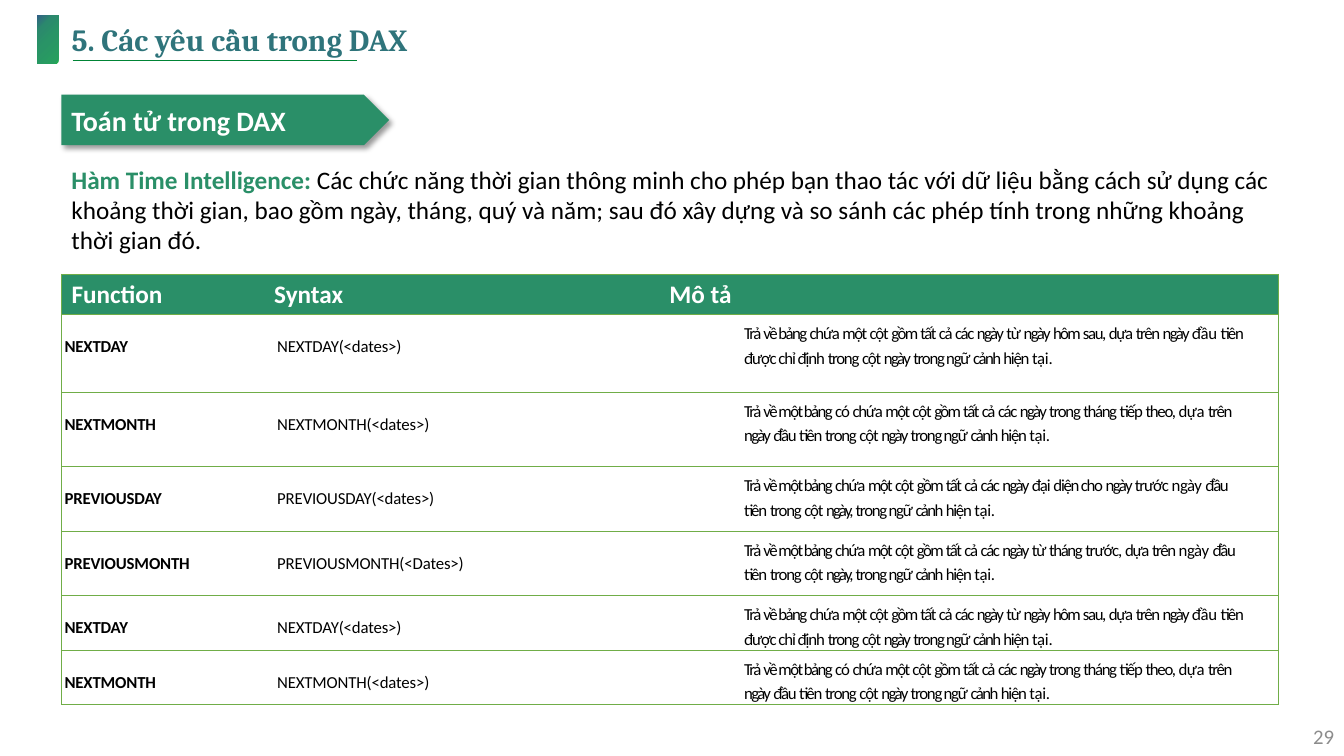
from dataclasses import dataclass
from itertools import groupby

from lxml.etree import SubElement
from pptx import Presentation
from pptx.dml.color import RGBColor
from pptx.enum.shapes import MSO_CONNECTOR, MSO_SHAPE
from pptx.enum.text import MSO_ANCHOR, MSO_AUTO_SIZE, PP_ALIGN
from pptx.oxml.ns import qn
from pptx.util import Emu, Pt

EMU_PER_PX = 9144
GREEN = "2A8F68"
BORDER = "70AD47"
BLACK = "000000"
WHITE = "FFFFFF"
TITLE_STOPS = [(0, "325E89"), (12, "2F747B"), (50, "299466"), (82, "279E5F"), (100, "23B350")]
MARKER_STOPS = [(0, "325E89"), (11, "2F747B"), (23, "2B896D"), (53, "299466"),
                (92, "279E5F"), (99, "23B350")]

WORDS_BY_SPACING = {
    -1.3: "ngày,",
    -1.2: "Trả gồm hôm",
    -1.1: "về bảng một ngày cảnh",
    -1.0: "tất các sau, tháng đầu trên",
    -0.9: "chứa cả dựa trong ngữ hiện theo, diện cho",
    -0.8: "cột từ tiên được chỉ định có tiếp đại trước trước,",
    -0.2: "tại.",
}
WORD_SPACING = {word: spacing for spacing, words in WORDS_BY_SPACING.items() for word in words.split()}
LINE_END_SPACING = -0.3


@dataclass(frozen=True)
class FunctionRow:
    name: str
    argument: str
    first_line: str
    second_line: str
    height: int


NEXT_DAY = ("Trả về bảng chứa một cột gồm tất cả các ngày từ ngày hôm sau, dựa trên ngày đầu",
            "tiên được chỉ định trong cột ngày trong ngữ cảnh hiện tại.")
NEXT_MONTH = ("Trả về một bảng có chứa một cột gồm tất cả các ngày trong tháng tiếp theo, dựa",
              "trên ngày đầu tiên trong cột ngày trong ngữ cảnh hiện tại.")
PREVIOUS_END = "đầu tiên trong cột ngày, trong ngữ cảnh hiện tại."
HEADERS = ["Function", "Syntax", "Mô tả"]
HEADER_HEIGHT = 40
COLUMN_WIDTHS = [201, 392, 614]
COLUMN_INDENTS = [3, 13, 84]
ROWS = [
    FunctionRow("NEXTDAY", "<dates>", *NEXT_DAY, 77),
    FunctionRow("NEXTMONTH", "<dates>", *NEXT_MONTH, 74),
    FunctionRow("PREVIOUSDAY", "<dates>",
                "Trả về một bảng chứa một cột gồm tất cả các ngày đại diện cho ngày trước ngày",
                PREVIOUS_END, 64),
    FunctionRow("PREVIOUSMONTH", "<Dates>",
                "Trả về một bảng chứa một cột gồm tất cả các ngày từ tháng trước, dựa trên ngày",
                PREVIOUS_END, 64),
    FunctionRow("NEXTDAY", "<dates>", *NEXT_DAY, 54),
    FunctionRow("NEXTMONTH", "<dates>", *NEXT_MONTH, 54),
]


def px(value: int) -> Emu:
    return Emu(value * EMU_PER_PX)


def box(left: int, top: int, width: int, height: int) -> list[Emu]:
    return [px(value) for value in (left, top, width, height)]


def rgb(value: str) -> RGBColor:
    return RGBColor.from_string(value)


def format_run(run, size: float, color: str, bold: bool = False, spacing: float = 0) -> None:
    run.font.name = "Calibri"
    run.font.size = Pt(size)
    run.font.bold = bold
    run.font.color.rgb = rgb(color)
    if spacing:
        run.font._element.set("spc", str(round(spacing * 100)))


def add_run(paragraph, text: str, size: float, color: str, bold: bool = False, spacing: float = 0) -> None:
    run = paragraph.add_run()
    run.text = text
    format_run(run, size, color, bold, spacing)


def fill_gradient(fill, properties, stops: list[tuple[int, str]], radial: bool) -> None:
    fill.gradient()
    gradient = properties.find(qn("a:gradFill"))
    for child in list(gradient):
        gradient.remove(child)
    stop_list = SubElement(gradient, qn("a:gsLst"))
    for position, color in stops:
        stop = SubElement(stop_list, qn("a:gs"), pos=str(position * 1000))
        SubElement(stop, qn("a:srgbClr"), val=color)
    if radial:
        circle = SubElement(gradient, qn("a:path"))
        circle.set("path", "circle")
        SubElement(circle, qn("a:fillToRect"), r="100000", b="100000")
    else:
        SubElement(gradient, qn("a:lin"), ang="0", scaled="0")


def set_borders(cell, visible: dict[str, bool]) -> None:
    properties = cell._tc.get_or_add_tcPr()
    for side, shown in visible.items():
        line = SubElement(properties, qn(f"a:ln{side}"), w=str(Pt(0.5)))
        if shown:
            SubElement(SubElement(line, qn("a:solidFill")), qn("a:srgbClr"), val=BORDER)
        else:
            SubElement(line, qn("a:noFill"))


def add_heading(slide) -> None:
    underline = slide.shapes.add_connector(MSO_CONNECTOR.STRAIGHT, px(72), px(60), px(354), px(60))
    underline.line.color.rgb = rgb("008435")
    underline.line.width = Pt(1)
    SubElement(underline._element.spPr, qn("a:effectLst"))

    marker = slide.shapes.add_shape(MSO_SHAPE.RECTANGLE, *box(37, 15, 21, 48))
    marker.shadow.inherit = False
    marker.line.fill.background()
    fill_gradient(marker.fill, marker._element.spPr, MARKER_STOPS, radial=True)

    title = slide.shapes.title
    title.left, title.top, title.width, title.height = box(61, 7, 1119, 69)
    frame = title.text_frame
    frame.text = "5. Các yêu cầu trong DAX"
    frame.auto_size = MSO_AUTO_SIZE.NONE
    frame.vertical_anchor = MSO_ANCHOR.MIDDLE
    paragraph = frame.paragraphs[0]
    paragraph.alignment = PP_ALIGN.LEFT
    paragraph.line_spacing = 0.9
    font = paragraph.runs[0].font
    font.name, font.size, font.bold = "Cambria", Pt(22), True
    fill_gradient(font.fill, font._element, TITLE_STOPS, radial=False)


def add_section_arrow(slide) -> None:
    arrow = slide.shapes.add_shape(MSO_SHAPE.PENTAGON, *box(61, 94, 325, 50))
    arrow.fill.solid()
    arrow.fill.fore_color.rgb = rgb(GREEN)
    arrow.line.fill.background()
    arrow.shadow.inherit = False
    effects = arrow._element.spPr.find(qn("a:effectLst"))
    shadow = SubElement(effects, qn("a:outerShdw"), blurRad=str(Pt(4)), dist=str(Pt(3)),
                        dir=str(45 * 60000), algn="tl", rotWithShape="0")
    SubElement(SubElement(shadow, qn("a:srgbClr"), val=BLACK), qn("a:alpha"), val="40000")
    arrow.text_frame.vertical_anchor = MSO_ANCHOR.MIDDLE
    paragraph = arrow.text_frame.paragraphs[0]
    paragraph.alignment = PP_ALIGN.LEFT
    add_run(paragraph, "Toán tử trong DAX", 20, WHITE, True)


def add_text_box(slide, left: int, top: int, width: int, height: int):
    frame = slide.shapes.add_textbox(*box(left, top, width, height)).text_frame
    frame.word_wrap = True
    return frame


def add_description(paragraph, row: FunctionRow) -> None:
    paragraph.line_spacing = 1.2
    words = [(word, WORD_SPACING[word]) for word in row.first_line.split()]
    words[-1] = (words[-1][0], LINE_END_SPACING)
    words += [(word, WORD_SPACING[word]) for word in row.second_line.split()]
    for spacing, group in groupby(words, key=lambda item: item[1]):
        text = "".join(f"{word} " for word, _ in group)
        add_run(paragraph, text.rstrip() if text.endswith("tại. ") else text, 12, BLACK, spacing=spacing)


def add_function_table(slide) -> None:
    heights = [HEADER_HEIGHT] + [row.height for row in ROWS]
    frame = slide.shapes.add_table(len(heights), len(HEADERS),
                                   *box(61, 272, sum(COLUMN_WIDTHS), sum(heights)))
    table = frame.table
    table.first_row = table.horz_banding = False
    for row_index, height in enumerate(heights):
        table.rows[row_index].height = px(height)
        for column_index, width in enumerate(COLUMN_WIDTHS):
            table.columns[column_index].width = px(width)
            cell = table.cell(row_index, column_index)
            set_borders(cell, {"L": column_index == 0, "R": column_index == 2, "T": True, "B": True})
            paragraph = cell.text_frame.paragraphs[0]
            if row_index == 0:
                cell.fill.solid()
                cell.fill.fore_color.rgb = rgb(GREEN)
                add_run(paragraph, HEADERS[column_index], 18, WHITE, True)
                continue
            cell.fill.background()
            row = ROWS[row_index - 1]
            is_description = column_index == 2
            cell.margin_left = px(COLUMN_INDENTS[column_index])
            cell.margin_right = px(30 if is_description else 0)
            cell.margin_top = px(5 if is_description else 22)
            cell.margin_bottom = px(0)
            if is_description:
                add_description(paragraph, row)
            else:
                text = f"{row.name}({row.argument})" if column_index else row.name
                add_run(paragraph, text, 12, BLACK, column_index == 0, -0.1)


def main() -> None:
    presentation = Presentation()
    presentation.slide_width, presentation.slide_height = px(1333), px(750)
    slide = presentation.slides.add_slide(presentation.slide_layouts[5])
    add_heading(slide)
    number = add_text_box(slide, 1033, 710, 300, 40)
    number.vertical_anchor = MSO_ANCHOR.MIDDLE
    number.paragraphs[0].alignment = PP_ALIGN.RIGHT
    add_run(number.paragraphs[0], "29", 14.8, "8C8C8C")
    add_section_arrow(slide)
    introduction = add_text_box(slide, 61, 158, 1216, 101).paragraphs[0]
    add_run(introduction, "Hàm Time Intelligence: ", 18, GREEN, True)
    add_run(introduction, "Các chức năng thời gian thông minh cho phép bạn thao tác với dữ liệu bằng cách "
            "sử dụng các khoảng thời gian, bao gồm ngày, tháng, quý và năm; sau đó xây dựng và so sánh "
            "các phép tính trong những khoảng thời gian đó.", 18, BLACK)
    add_function_table(slide)
    presentation.save("out.pptx")


if __name__ == "__main__":
    main()
